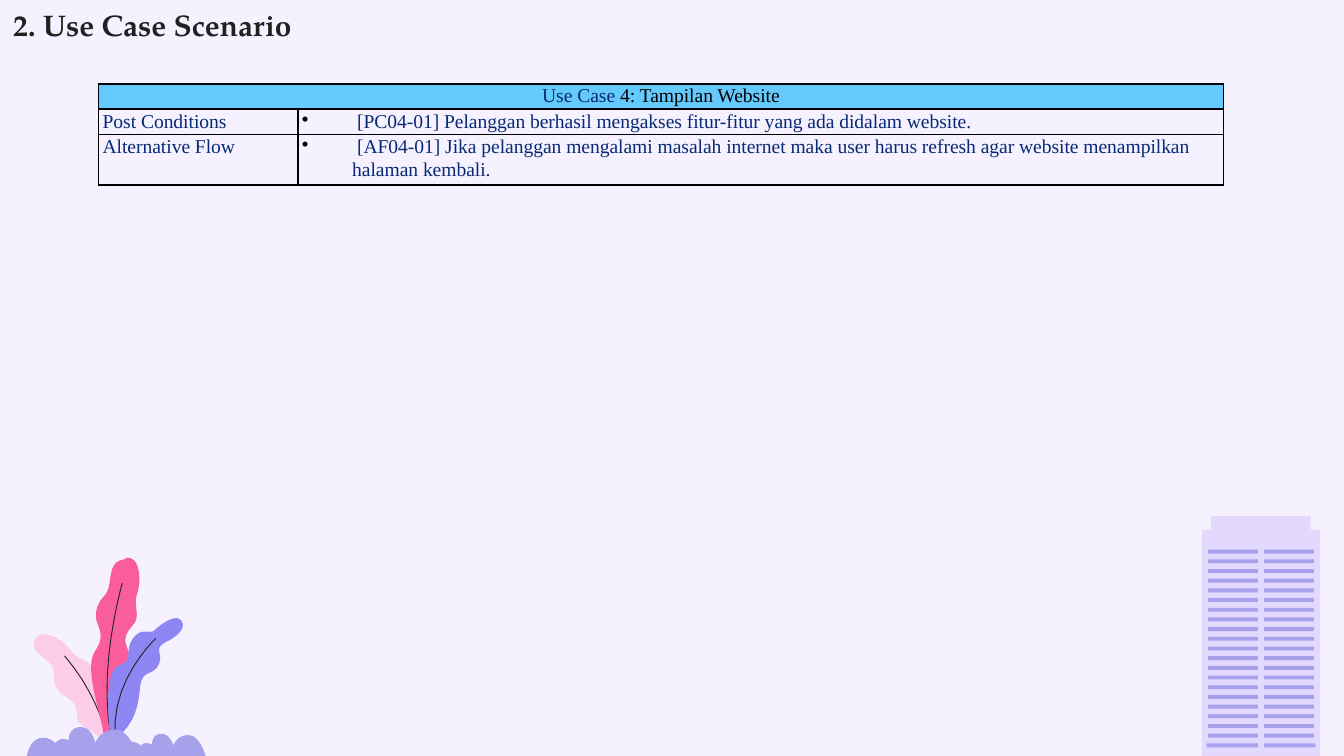
from dataclasses import dataclass
from typing import Optional

from lxml import etree
from pptx import Presentation
from pptx.dml.color import RGBColor
from pptx.enum.shapes import MSO_SHAPE
from pptx.enum.text import MSO_AUTO_SIZE, PP_ALIGN
from pptx.oxml.ns import qn
from pptx.util import Pt

RECTANGLE = MSO_SHAPE.RECTANGLE
CENTER, LEFT = PP_ALIGN.CENTER, PP_ALIGN.LEFT
FIT_SHAPE = MSO_AUTO_SIZE.SHAPE_TO_FIT_TEXT
ART_UNIT = 0.72
CURVE_STEPS = 10


@dataclass(frozen=True)
class Theme:
    background: str = "F5F1FF"
    wall: str = "E3D9FF"
    lilac: str = "A7A1EB"
    pale_pink: str = "FCCCE9"
    pink: str = "F95D9B"
    violet: str = "8E86F3"
    ink: str = "212121"
    navy: str = "082A75"
    black: str = "000000"
    header: str = "64C9FC"
    title_font: str = "TeX Gyre Pagella"
    table_font: str = "Times New Roman"
    title_size: float = 16
    table_size: float = 10.5
    stem_width: float = 0.48
    border_width: float = 1


@dataclass(frozen=True)
class Outline:
    start: tuple
    segments: tuple
    fill: Optional[str] = None


@dataclass(frozen=True)
class ScenarioRow:
    label: str
    detail: str


THEME = Theme()

PLANT = (
    Outline((33, 472), (
        (30, 472, 28, 473, 26, 476), (21, 487, 40, 490, 40, 500),
        (40, 509, 41, 514, 50, 519), (59, 525, 57, 532, 58, 536),
        (59, 540, 69, 543, 75, 550), (75, 551), (83, 551),
        (83, 551, 87, 516, 78, 511), (70, 506, 71, 502, 67, 495),
        (63, 488, 59, 493, 53, 484), (48, 478, 40, 472, 33, 472)), THEME.pale_pink),
    Outline((80, 550), ((80, 550, 74, 518, 48, 488),)),
    Outline((95, 415), (
        (94, 415, 94, 415, 93, 416), (78, 418, 85, 435, 78, 443),
        (71, 450, 70, 459, 73, 465), (78, 477, 72, 481, 69, 488),
        (64, 502, 76, 535, 77, 546), (88, 546),
        (88, 546, 87, 533, 92, 518), (96, 504, 86, 504, 95, 491),
        (100, 483, 86, 479, 99, 465), (105, 459, 99, 450, 102, 442),
        (105, 434, 105, 415, 95, 415)), THEME.pink),
    Outline((91, 434), ((91, 434, 72, 499, 83, 550),)),
    Outline((131, 460), (
        (126, 460, 118, 466, 115, 469), (114, 470, 113, 470, 112, 470),
        (111, 470, 110, 470, 109, 470), (106, 470, 103, 470, 99, 475),
        (93, 484, 98, 489, 93, 493), (89, 496, 86, 494, 83, 502),
        (78, 516, 82, 547, 82, 547), (89, 547),
        (100, 538, 103, 525, 104, 514), (105, 497, 113, 504, 118, 495),
        (122, 486, 114, 483, 123, 478), (132, 474, 139, 467, 135, 462),
        (134, 461, 133, 460, 131, 460)), THEME.violet),
    Outline((116, 475), ((116, 475, 81, 507, 86, 550),)),
)

BUSHES = (
    Outline((120, 546), (
        (113, 546, 113, 554, 113, 554), (113, 554, 111, 553, 109, 553),
        (108, 553, 106, 553, 105, 555), (105, 555, 102, 552, 98, 552),
        (90, 552, 88, 562.5, 88, 562.5), (153, 562.5),
        (153, 562.5, 149, 547, 140, 547), (131, 547, 129, 555, 129, 555),
        (129, 555, 127, 546, 120, 546)), THEME.lilac),
    Outline((60, 541), (
        (51, 541, 51, 551, 51, 551), (51, 551, 49, 550, 47, 550),
        (45, 550, 43, 551, 41, 553), (41, 553, 38, 549, 32, 549),
        (22, 549, 20, 562.5, 20, 562.5), (103, 562.5),
        (102, 560, 96, 543, 86, 543), (74, 543, 71, 553, 71, 553),
        (71, 553, 69, 541, 60, 541)), THEME.lilac),
)

SCENARIO = (
    ScenarioRow("Post Conditions",
                " [PC04-01] Pelanggan berhasil mengakses fitur-fitur yang ada didalam website."),
    ScenarioRow("Alternative Flow",
                " [AF04-01] Jika pelanggan mengalami masalah internet maka user harus refresh "
                "agar website menampilkan halaman kembali."),
)


def rgb(color: str) -> RGBColor:
    return RGBColor.from_string(color)


def apply_format(target, values: dict) -> None:
    for attribute, value in values.items():
        setattr(target, attribute, value)


def paint(part, color: str) -> None:
    part.fill.solid()
    part.fill.fore_color.rgb = rgb(color)


def draw_block(shapes, left: float, top: float, width: float, height: float, color: str) -> None:
    block = shapes.add_shape(RECTANGLE, Pt(left), Pt(top), Pt(width), Pt(height))
    block.shadow.inherit = False
    paint(block, color)
    block.line.fill.background()


def flatten(outline: Outline) -> list:
    points = [outline.start]
    for segment in outline.segments:
        if len(segment) == 2:
            points.append(segment)
            continue
        x0, y0 = points[-1]
        x1, y1, x2, y2, x3, y3 = segment
        for step in range(1, CURVE_STEPS + 1):
            t = step / CURVE_STEPS
            a, b, c, d = (1 - t) ** 3, 3 * t * (1 - t) ** 2, 3 * t * t * (1 - t), t ** 3
            points.append((a * x0 + b * x1 + c * x2 + d * x3,
                           a * y0 + b * y1 + c * y2 + d * y3))
    return [(Pt(x * ART_UNIT), Pt(y * ART_UNIT)) for x, y in points]


def draw_outlines(shapes, outlines: tuple) -> None:
    for outline in outlines:
        start, *rest = flatten(outline)
        builder = shapes.build_freeform(*start, scale=1.0)
        builder.add_line_segments(rest, close=outline.fill is not None)
        drawn = builder.convert_to_shape()
        drawn.shadow.inherit = False
        if outline.fill:
            paint(drawn, outline.fill)
            drawn.line.fill.background()
        else:
            drawn.fill.background()
            drawn.line.color.rgb = rgb(THEME.ink)
            drawn.line.width = Pt(THEME.stem_width)


def draw_building(shapes) -> None:
    draw_block(shapes, 643.8, 283.7, 63.3, 121.3, THEME.wall)
    floors, pitch = 21, 5.19
    for column, left in enumerate((647.2, 677.2)):
        for floor in range(floors):
            ground = floor == floors - 1
            shift = 0.8 if ground and column == 0 else 0
            width = 27.5 if ground else 26.7
            draw_block(shapes, left - shift, 294.5 + floor * pitch, width, 2.1, THEME.lilac)
    draw_block(shapes, 648.8, 276.5, 53.4, 9.4, THEME.wall)


def write_run(paragraph, text: str, color: str, values: dict) -> None:
    run = paragraph.add_run()
    run.text = text
    apply_format(run.font, values)
    run.font.color.rgb = rgb(color)


def add_bullet(paragraph) -> None:
    properties = paragraph._p.get_or_add_pPr()
    properties.set("marL", str(Pt(27)))
    properties.set("indent", str(-Pt(27)))
    bullet_color = etree.SubElement(properties, qn("a:buClr"))
    etree.SubElement(bullet_color, qn("a:srgbClr"), val=THEME.black)
    etree.SubElement(properties, qn("a:buChar"), char="•")


def add_borders(cell) -> None:
    properties = cell._tc.get_or_add_tcPr()
    for side in ("L", "R", "T", "B"):
        border = etree.SubElement(properties, qn(f"a:ln{side}"), w=str(Pt(THEME.border_width)))
        fill = etree.SubElement(border, qn("a:solidFill"))
        etree.SubElement(fill, qn("a:srgbClr"), val=THEME.black)


def write_cell(cell, runs: tuple, align=LEFT, bullet: bool = False) -> None:
    apply_format(cell, {"margin_left": Pt(2.2), "margin_right": Pt(2.2),
                        "margin_top": Pt(0), "margin_bottom": Pt(0)})
    paragraph = cell.text_frame.paragraphs[0]
    apply_format(paragraph, {"alignment": align, "line_spacing": 1.07})
    if bullet:
        add_bullet(paragraph)
    for text, color in runs:
        write_run(paragraph, text, color,
                  {"name": THEME.table_font, "size": Pt(THEME.table_size)})


def draw_scenario(shapes) -> None:
    widths, heights = (106.7, 496), (13.4, 13.4, 26.8)
    table = shapes.add_table(len(heights), len(widths), Pt(52.8), Pt(45),
                             Pt(sum(widths)), Pt(sum(heights))).table
    apply_format(table, {"first_row": False, "horz_banding": False})
    for column, width in zip(table.columns, widths):
        column.width = Pt(width)
    for row, height in zip(table.rows, heights):
        row.height = Pt(height)
    for cell in table.iter_cells():
        add_borders(cell)
        cell.fill.background()
    heading = table.cell(0, 0)
    heading.merge(table.cell(0, 1))
    paint(heading, THEME.header)
    write_cell(heading, (("Use Case ", THEME.navy), ("4: Tampilan Website", THEME.black)), CENTER)
    for index, entry in enumerate(SCENARIO, 1):
        write_cell(table.cell(index, 0), ((entry.label, THEME.navy),))
        write_cell(table.cell(index, 1), ((entry.detail, THEME.navy),), bullet=True)


def draw_title(shapes) -> None:
    frame = shapes.add_textbox(Pt(0), Pt(0), Pt(167.8), Pt(26.6)).text_frame
    apply_format(frame, {"word_wrap": False, "auto_size": FIT_SHAPE})
    write_run(frame.paragraphs[0], "2. Use Case Scenario", THEME.ink,
              {"name": THEME.title_font, "size": Pt(THEME.title_size), "bold": True})


def main() -> None:
    deck = Presentation()
    apply_format(deck, {"slide_width": Pt(720), "slide_height": Pt(405)})
    slide = deck.slides.add_slide(deck.slide_layouts[6])
    paint(slide.background, THEME.background)
    draw_building(slide.shapes.add_group_shape().shapes)
    for outlines in (PLANT, BUSHES):
        draw_outlines(slide.shapes.add_group_shape().shapes, outlines)
    draw_title(slide.shapes)
    draw_scenario(slide.shapes)
    deck.save("out.pptx")


if __name__ == "__main__":
    main()
